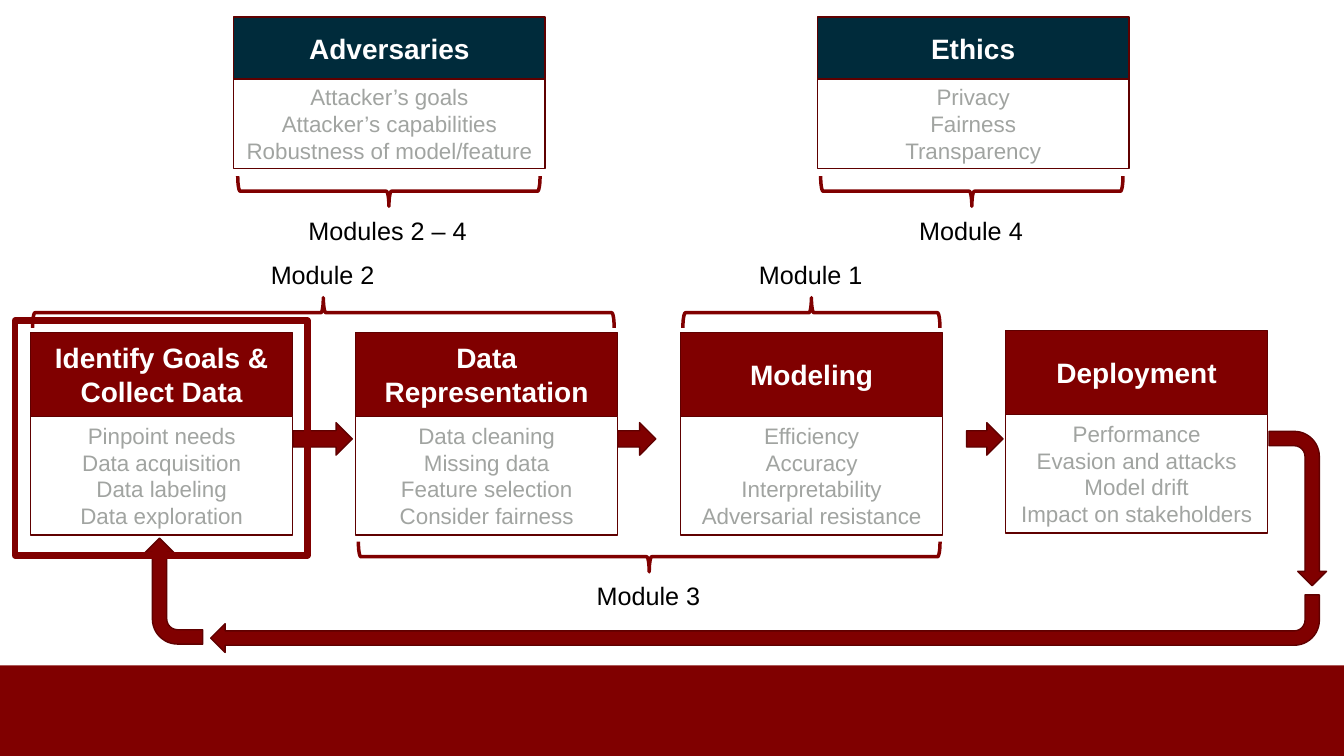
from pptx import Presentation
from pptx.dml.color import RGBColor
from pptx.enum.shapes import MSO_SHAPE
from pptx.enum.text import MSO_ANCHOR, PP_ALIGN
from pptx.util import Cm, Pt

RECTANGLE = MSO_SHAPE.RECTANGLE
RIGHT_ARROW = MSO_SHAPE.RIGHT_ARROW
BENT_ARROW = MSO_SHAPE.BENT_ARROW
RIGHT_BRACE = MSO_SHAPE.RIGHT_BRACE
MIDDLE = MSO_ANCHOR.MIDDLE
CENTER = PP_ALIGN.CENTER

MAROON = RGBColor(0x80, 0x00, 0x00)
DARK_MAROON = RGBColor(0x5F, 0x00, 0x00)
NAVY = RGBColor(0x00, 0x2B, 0x3B)
GRAY = RGBColor(0xA1, 0xA4, 0xA1)
WHITE = RGBColor(0xFF, 0xFF, 0xFF)
BLACK = RGBColor(0x00, 0x00, 0x00)

SLIDE_WIDTH, SLIDE_HEIGHT = 33.87, 19.05
BAND_HEIGHT = 2.28
STAGE_LEFT, STAGE_PITCH, STAGE_WIDTH = 0.77, 8.19, 6.61
STAGE_HEADER, STAGE_BODY = 2.11, 2.99
CONCERN_TOP, CONCERN_WIDTH = 0.43, 7.85
CONCERN_HEADER, CONCERN_BODY = 1.56, 2.26
BRACE_DEPTH = 0.76
LABEL_HEIGHT = 1.03

# title, top, bullet lines
STAGES = [
    ("Identify Goals & Collect Data", 8.38,
     ["Pinpoint needs", "Data acquisition", "Data labeling", "Data exploration"]),
    ("Data Representation", 8.38,
     ["Data cleaning", "Missing data", "Feature selection", "Consider fairness"]),
    ("Modeling", 8.38,
     ["Efficiency", "Accuracy", "Interpretability", "Adversarial resistance"]),
    ("Deployment", 8.33,
     ["Performance", "Evasion and attacks", "Model drift", "Impact on stakeholders"]),
]
# title, left, lines
CONCERNS = [
    ("Adversaries", 5.89,
     ["Attacker’s goals", "Attacker’s capabilities", "Robustness of model/feature"]),
    ("Ethics", 20.6, ["Privacy", "Fairness", "Transparency"]),
]
# label, label width, brace left, brace top, brace width, rotation
MODULES = [
    ("Module 4", 3.15, 20.68, 4.44, 7.62, 90),
    ("Modules 2 – 4", 4.55, 5.99, 4.44, 7.62, 90),
    ("Module 3", 3.15, 9.03, 13.65, 14.66, 90),
    ("Module 1", 3.15, 17.21, 7.5, 6.48, 270),
    ("Module 2", 3.15, 0.82, 7.5, 14.66, 270),
]
# left, width
STEP_ARROWS = [(7.38, 1.5), (15.57, 0.96), (24.36, 0.92)]
# left, top, width, height, rotation
LOOP_ARROWS = [
    (31.98, 10.87, 1.45, 3.89, 90),
    (5.31, 14.99, 27.94, 1.45, 180),
    (3.66, 13.56, 1.45, 2.67, 270),
]


def add_figure(slide, kind, left, top, width, height, fill=None,
               line=DARK_MAROON, weight=1, rotation=0):
    """Add a shape that covers the given box after it has been rotated."""
    if rotation in (90, 270):
        left, top = left + (width - height) / 2, top + (height - width) / 2
        width, height = height, width
    shape = slide.shapes.add_shape(kind, Cm(left), Cm(top), Cm(width), Cm(height))
    shape.rotation = rotation
    shape.shadow.inherit = False
    if fill is None:
        shape.fill.background()
    else:
        shape.fill.solid()
        shape.fill.fore_color.rgb = fill
    if line is None:
        shape.line.fill.background()
    else:
        shape.line.color.rgb = line
        shape.line.width = Pt(weight)
    return shape


def write_lines(shape, lines, size, color, bold=False, alignment=None):
    frame = shape.text_frame
    for index, line in enumerate(lines):
        paragraph = frame.add_paragraph() if index else frame.paragraphs[0]
        paragraph.alignment = alignment
        run = paragraph.add_run()
        run.text = line
        run.font.name = "Arial"
        run.font.size = Pt(size)
        run.font.bold = bold
        run.font.color.rgb = color


def add_card(slide, left, top, width, header_height, body_height, color, title, lines):
    header = add_figure(slide, RECTANGLE, left, top, width, header_height, color)
    body = add_figure(slide, RECTANGLE, left, top + header_height, width, body_height, WHITE)
    for part in (header, body):
        part.text_frame.vertical_anchor = MIDDLE
    write_lines(header, [title], 20, WHITE, True, CENTER)
    write_lines(body, lines, 16, GRAY, False, CENTER)


def add_module(slide, label, label_width, left, top, width, rotation):
    """Add a brace with its label centred at the brace's tip."""
    add_figure(slide, RIGHT_BRACE, left, top, width, BRACE_DEPTH,
               line=MAROON, weight=2.5, rotation=rotation)
    label_left = left + (width - label_width) / 2
    label_top = top + (0.85 if rotation == 90 else -1.1)
    box = slide.shapes.add_textbox(Cm(label_left), Cm(label_top),
                                   Cm(label_width), Cm(LABEL_HEIGHT))
    box.text_frame.word_wrap = False
    write_lines(box, [label], 18, BLACK)


def add_concerns(slide):
    for title, left, lines in CONCERNS:
        add_card(slide, left, CONCERN_TOP, CONCERN_WIDTH, CONCERN_HEADER,
                 CONCERN_BODY, NAVY, title, lines)


def add_pipeline(slide):
    for index, (title, top, lines) in enumerate(STAGES):
        add_card(slide, STAGE_LEFT + index * STAGE_PITCH, top, STAGE_WIDTH,
                 STAGE_HEADER, STAGE_BODY, MAROON, title, lines)
    for left, width in STEP_ARROWS:
        add_figure(slide, RIGHT_ARROW, left, 10.65, width, 0.82, MAROON)
    for left, top, width, height, rotation in LOOP_ARROWS:
        add_figure(slide, BENT_ARROW, left, top, width, height, MAROON, rotation=rotation)


def main():
    presentation = Presentation()
    presentation.slide_width = Cm(SLIDE_WIDTH)
    presentation.slide_height = Cm(SLIDE_HEIGHT)
    slide = presentation.slides.add_slide(presentation.slide_layouts[6])
    add_figure(slide, RECTANGLE, 0, SLIDE_HEIGHT - BAND_HEIGHT, SLIDE_WIDTH,
               BAND_HEIGHT, MAROON, line=None)
    add_concerns(slide)
    add_pipeline(slide)
    for module in MODULES:
        add_module(slide, *module)
    # Highlight around the current stage
    add_figure(slide, RECTANGLE, 0.38, 8.08, 7.37, 5.92, line=MAROON, weight=4.5)
    presentation.save("out.pptx")


if __name__ == "__main__":
    main()
